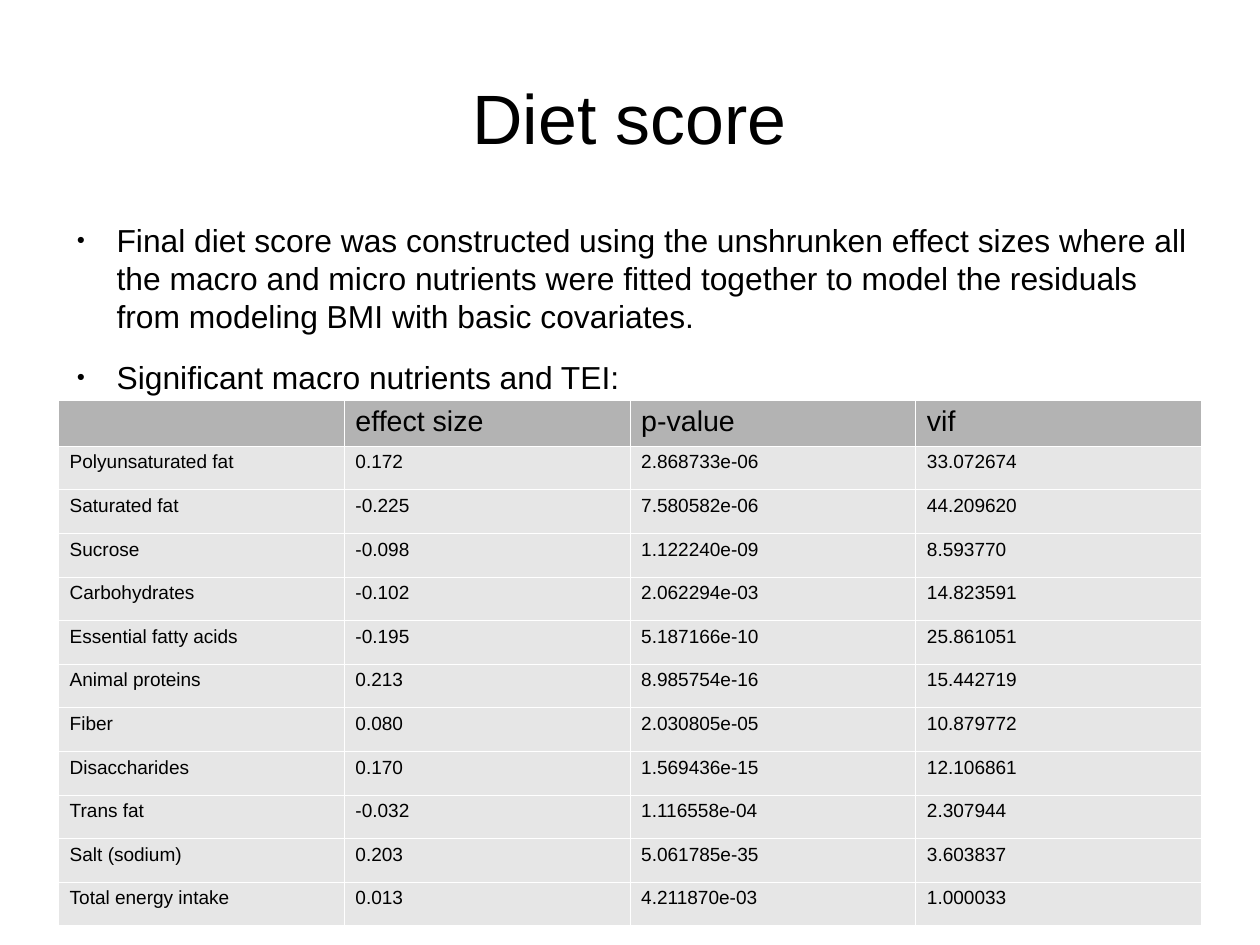
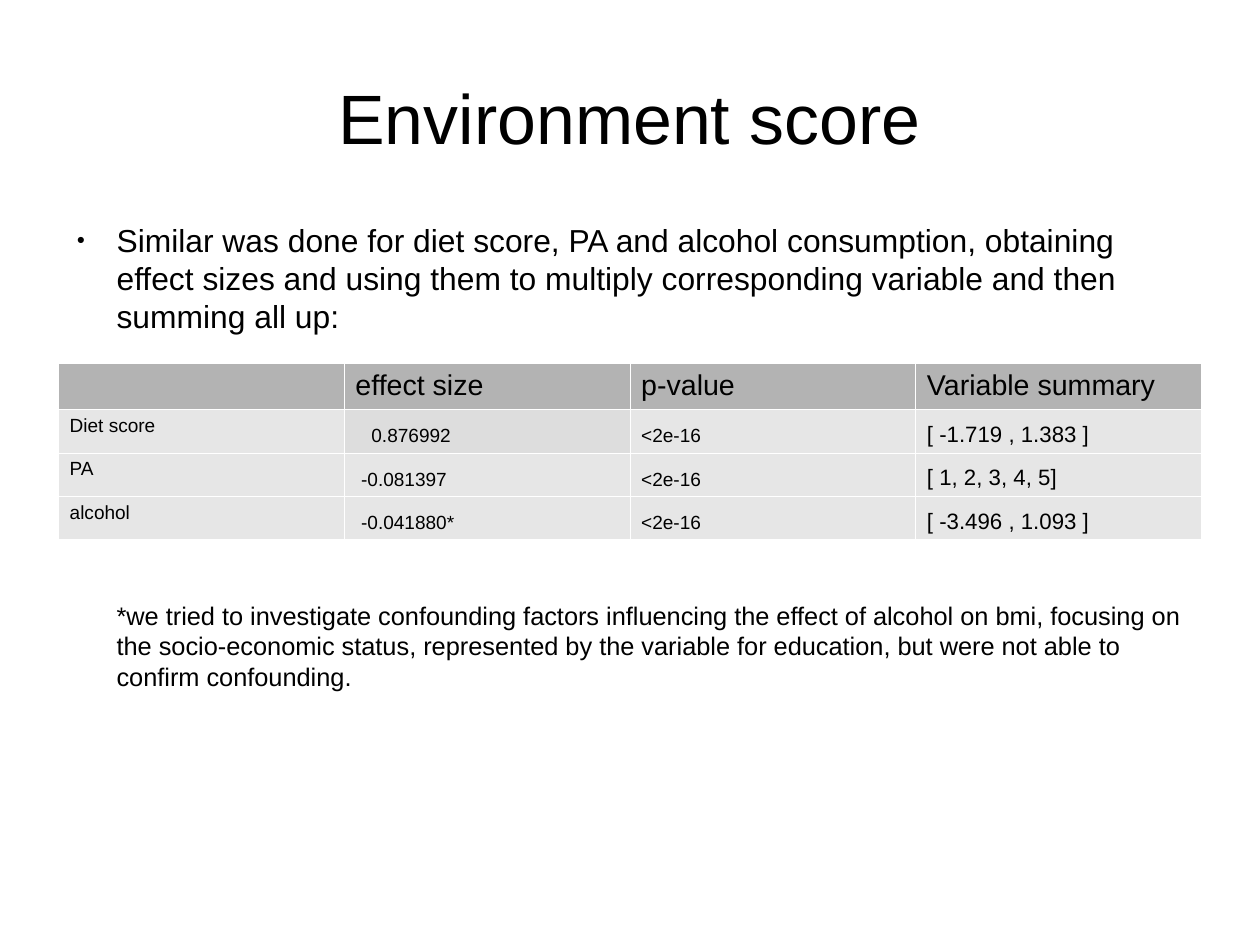
from lxml.etree import SubElement
from pptx import Presentation
from pptx.dml.color import RGBColor
from pptx.enum.text import MSO_ANCHOR as Anchor, PP_ALIGN as Align
from pptx.oxml.ns import qn
from pptx.util import Cm, Inches, Pt

FONT = "Arial"
BLACK, WHITE = "000000", "FFFFFF"
HEADER_GREY, ROW_GREY, ACCENT_GREY = "B3B3B3", "E6E6E6", "DDDDDD"

# The page is metric: 28 by 21 cm.
SLIDE_WIDTH, SLIDE_HEIGHT = Cm(28), Cm(21)
TITLE_BOX = (0.55, 0.33, 9.92, 1.38)
BODY_BOX = (0.55, 1.93, 9.92, 1.55)
TEXT_INDENT, BULLET_HANG = 0.47, 0.35
TABLE_LEFT, TABLE_WIDTH = 0.51, 10
HEADER_HEIGHT = 0.39
CELL_MARGIN = 0.1
BORDER_WIDTH = 0.06

DIET_HEADER = ("", "effect size", "p-value", "vif")
DIET_ROWS = (
    ("Polyunsaturated fat", "0.172", "2.868733e-06", "33.072674"),
    ("Saturated fat", "-0.225", "7.580582e-06", "44.209620"),
    ("Sucrose", "-0.098", "1.122240e-09", "8.593770"),
    ("Carbohydrates", "-0.102", "2.062294e-03", "14.823591"),
    ("Essential fatty acids", "-0.195", "5.187166e-10", "25.861051"),
    ("Animal proteins", "0.213", "8.985754e-16", "15.442719"),
    ("Fiber", "0.080", "2.030805e-05", "10.879772"),
    ("Disaccharides", "0.170", "1.569436e-15", "12.106861"),
    ("Trans fat", "-0.032", "1.116558e-04", "2.307944"),
    ("Salt (sodium)", "0.203", "5.061785e-35", "3.603837"),
    ("Total energy intake", "0.013", "4.211870e-03", "1.000033"),
)
ENVIRONMENT_HEADER = ("", "effect size", "p-value", "Variable summary")
ENVIRONMENT_ROWS = (
    ("Diet score", "0.876992", "<2e-16", "[ -1.719 , 1.383 ]"),
    ("PA", "-0.081397", "<2e-16", "[ 1, 2, 3, 4, 5]"),
    ("alcohol", "-0.041880*", "<2e-16", "[ -3.496 , 1.093 ]"),
)


def color(hex_string):
    return RGBColor.from_string(hex_string)


def add_run(paragraph, text, size):
    run = paragraph.add_run()
    run.text = text
    run.font.name = FONT
    run.font.size = Pt(size)
    run.font.color.rgb = color(BLACK)


def add_text_frame(slide, box, anchor=Anchor.TOP):
    """Add a wrapping text box without insets and return its text frame."""
    frame = slide.shapes.add_textbox(*map(Inches, box)).text_frame
    frame.word_wrap = True
    frame.vertical_anchor = anchor
    frame.margin_left = frame.margin_right = 0
    frame.margin_top = frame.margin_bottom = 0
    return frame


def add_title(slide, text):
    paragraph = add_text_frame(slide, TITLE_BOX, Anchor.MIDDLE).paragraphs[0]
    paragraph.alignment = Align.CENTER
    add_run(paragraph, text, 44)


def set_bullet(paragraph):
    """Give the paragraph a hanging indent and a small round bullet."""
    properties = paragraph._p.get_or_add_pPr()
    properties.set("marL", str(Inches(TEXT_INDENT)))
    properties.set("indent", str(-Inches(BULLET_HANG)))
    bullet_color = SubElement(properties, qn("a:buClr"))
    SubElement(bullet_color, qn("a:srgbClr"), val=BLACK)
    SubElement(properties, qn("a:buSzPct"), val="45000")
    SubElement(properties, qn("a:buFont"), typeface=FONT)
    SubElement(properties, qn("a:buChar"), char="●")


def add_body(slide, box, texts, size=20, bullets=True):
    frame = add_text_frame(slide, box)
    for index, text in enumerate(texts):
        paragraph = frame.add_paragraph() if index else frame.paragraphs[0]
        paragraph.space_after = Pt(14.2)
        if bullets:
            set_bullet(paragraph)
        add_run(paragraph, text, size)


def style_cell(cell, fill):
    """Draw hairline borders, then the fill that must follow them."""
    properties = cell._tc.get_or_add_tcPr()
    for side in ("lnL", "lnR", "lnT", "lnB"):
        line = SubElement(properties, qn(f"a:{side}"), w=str(Pt(BORDER_WIDTH)))
        line_fill = SubElement(line, qn("a:solidFill"))
        SubElement(line_fill, qn("a:srgbClr"), val=WHITE)
    cell.fill.solid()
    cell.fill.fore_color.rgb = color(fill)


def fill_cell(cell, text, size):
    paragraph = cell.text_frame.paragraphs[0]
    if text:
        add_run(paragraph, text, size)
    else:
        end = SubElement(paragraph._p, qn("a:endParaRPr"), sz=str(size * 100))
        SubElement(end, qn("a:latin"), typeface=FONT)


def add_table(slide, top, height, header, rows):
    shape = slide.shapes.add_table(
        len(rows) + 1, len(header),
        *map(Inches, (TABLE_LEFT, top, TABLE_WIDTH, height)))
    table = shape.table
    for column in table.columns:
        column.width = Inches(TABLE_WIDTH / len(header))
    for row_index, texts in enumerate((header, *rows)):
        is_header = row_index == 0
        table.rows[row_index].height = Inches(
            HEADER_HEIGHT if is_header else (height - HEADER_HEIGHT) / len(rows))
        for column_index, text in enumerate(texts):
            cell = table.cell(row_index, column_index)
            cell.margin_left = cell.margin_right = Inches(CELL_MARGIN)
            style_cell(cell, HEADER_GREY if is_header else ROW_GREY)
            fill_cell(cell, text, 18 if is_header else 12)
    return table


def style_environment_values(table):
    """Set the value cells low, inset the effect sizes, enlarge the summaries."""
    for row_index in range(1, len(table.rows)):
        for column_index in range(1, len(table.columns)):
            table.cell(row_index, column_index).vertical_anchor = Anchor.BOTTOM
        inset = 0.14 if row_index == 1 else 0.05
        table.cell(row_index, 1).margin_left = Inches(CELL_MARGIN + inset)
        summary = table.cell(row_index, 3).text_frame.paragraphs[0]
        summary.runs[0].font.size = Pt(14)
    table.cell(1, 1).fill.fore_color.rgb = color(ACCENT_GREY)


def build_diet_slide(slide):
    add_title(slide, "Diet score")
    add_body(slide, BODY_BOX, (
        "Final diet score was constructed using the unshrunken effect sizes "
        "where all the macro and micro nutrients were fitted together to model "
        "the residuals from modeling BMI with basic covariates.",
        "Significant macro nutrients and TEI:",
    ))
    add_table(slide, 3.5, 4.59, DIET_HEADER, DIET_ROWS)


def build_environment_slide(slide):
    add_title(slide, "Environment score")
    add_body(slide, BODY_BOX, (
        "Similar was done for diet score, PA and alcohol consumption, obtaining "
        "effect sizes and using them to multiply corresponding variable and "
        "then summing all up:",
    ))
    table = add_table(slide, 3.18, 1.53, ENVIRONMENT_HEADER, ENVIRONMENT_ROWS)
    style_environment_values(table)
    left, _, width, _ = BODY_BOX
    note_box = (left + TEXT_INDENT, 5.25, width - TEXT_INDENT, 0.85)
    add_body(slide, note_box, (
        "*we tried to investigate confounding factors influencing the effect of "
        "alcohol on bmi, focusing on the socio-economic status, represented by "
        "the variable for education, but were not able to confirm confounding.",
    ), size=16, bullets=False)


def main():
    presentation = Presentation()
    presentation.slide_width = SLIDE_WIDTH
    presentation.slide_height = SLIDE_HEIGHT
    blank_layout = presentation.slide_layouts[6]
    for build_slide in (build_diet_slide, build_environment_slide):
        build_slide(presentation.slides.add_slide(blank_layout))
    presentation.save("out.pptx")


if __name__ == "__main__":
    main()
